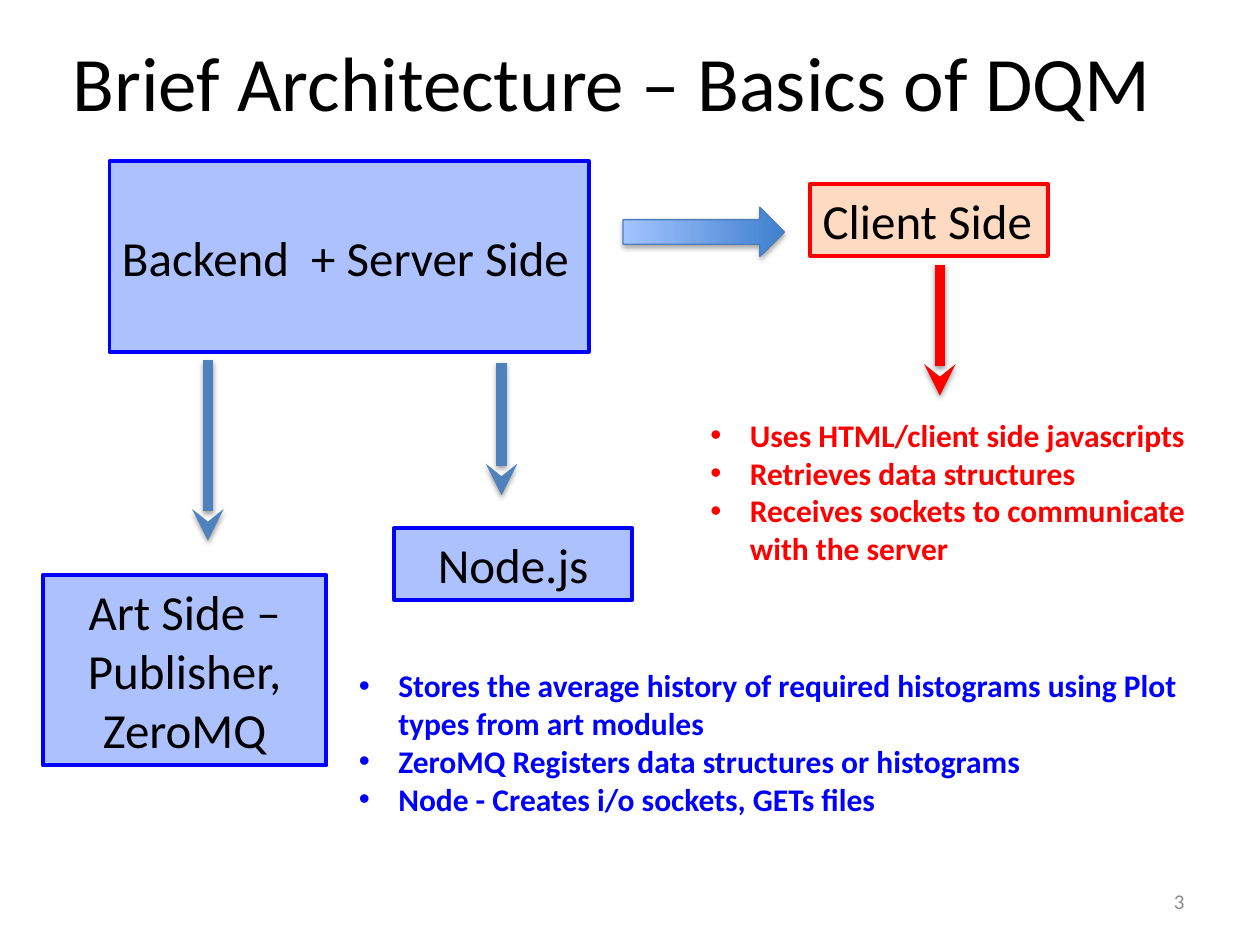
from dataclasses import dataclass
from typing import Optional

from lxml.etree import SubElement
from pptx import Presentation
from pptx.dml.color import RGBColor
from pptx.enum.shapes import MSO_CONNECTOR, MSO_SHAPE
from pptx.enum.text import MSO_ANCHOR, PP_ALIGN
from pptx.oxml.ns import qn
from pptx.util import Pt


@dataclass(frozen=True)
class Theme:
    font: str = "Calibri"
    black: str = "000000"
    grey: str = "8C8C8C"
    server: str = "0000FF"
    server_fill: str = "3366FF"
    client: str = "FF0000"
    client_fill: str = "FF6600"
    arrow: str = "4F81BD"
    block_line: str = "4B7EBC"
    block_dark: str = "3F80CE"
    block_light: str = "A4C4FF"
    title_size: float = 44
    box_size: float = 28
    list_size: float = 18
    number_size: float = 12
    box_line: float = 2.25
    arrow_line: float = 6
    block_line_width: float = 0.75
    indent: float = 22.5


THEME = Theme()


@dataclass(frozen=True)
class Area:
    left: float
    top: float
    width: float
    height: float

    def lengths(self) -> tuple:
        return Pt(self.left), Pt(self.top), Pt(self.width), Pt(self.height)


@dataclass(frozen=True)
class Box:
    text: str
    area: Area
    line: str = THEME.server
    fill: str = THEME.server_fill
    opacity: int = 40
    align: PP_ALIGN = PP_ALIGN.CENTER
    wrap: bool = True


@dataclass(frozen=True)
class Arrow:
    x: float
    top: float
    bottom: float
    color: str = THEME.arrow


@dataclass(frozen=True)
class BulletList:
    area: Area
    color: str
    items: tuple


def rgb(color: str) -> RGBColor:
    return RGBColor.from_string(color)


def write(shape, lines: tuple, size: float, color: str = THEME.black,
          align: PP_ALIGN = PP_ALIGN.LEFT, anchor: MSO_ANCHOR = MSO_ANCHOR.MIDDLE,
          bold: bool = False, wrap: bool = True) -> None:
    frame = shape.text_frame
    frame.word_wrap, frame.vertical_anchor = wrap, anchor
    frame.text = "\n".join(lines)
    font_format = {"name": THEME.font, "size": Pt(size), "bold": bold}
    for paragraph in frame.paragraphs:
        paragraph.alignment = align
        font = paragraph.runs[0].font
        for key, value in font_format.items():
            setattr(font, key, value)
        font.color.rgb = rgb(color)


def add_shadow(shape, distance: float, opacity: int) -> None:
    effects = SubElement(shape._element.spPr, qn("a:effectLst"))
    shadow = SubElement(effects, qn("a:outerShdw"), {
        "blurRad": str(Pt(3.1)), "dist": str(Pt(distance)),
        "dir": "5400000", "rotWithShape": "0"})
    color = SubElement(shadow, qn("a:srgbClr"), val=THEME.black)
    SubElement(color, qn("a:alpha"), val=str(opacity * 1000))


def draw_box(slide, box: Box) -> None:
    shape = slide.shapes.add_shape(MSO_SHAPE.RECTANGLE, *box.area.lengths())
    shape.shadow.inherit = False
    shape.fill.solid()
    shape.fill.fore_color.rgb = rgb(box.fill)
    color = shape._element.spPr.find(qn("a:solidFill")).find(qn("a:srgbClr"))
    SubElement(color, qn("a:alpha"), val=str(box.opacity * 1000))
    shape.line.color.rgb = rgb(box.line)
    shape.line.width = Pt(THEME.box_line)
    write(shape, (box.text,), THEME.box_size, align=box.align, wrap=box.wrap)


def draw_arrow(slide, arrow: Arrow) -> None:
    connector = slide.shapes.add_connector(
        MSO_CONNECTOR.STRAIGHT, Pt(arrow.x), Pt(arrow.top), Pt(arrow.x), Pt(arrow.bottom))
    connector.line.color.rgb = rgb(arrow.color)
    connector.line.width = Pt(THEME.arrow_line)
    SubElement(connector.line._get_or_add_ln(), qn("a:tailEnd"), type="stealth")
    add_shadow(connector, 1.6, 38)


def draw_block_arrow(slide, area: Area) -> None:
    shape = slide.shapes.add_shape(MSO_SHAPE.DOWN_ARROW, *area.lengths())
    shape.rotation = 270
    shape.fill.gradient()
    shape.fill.gradient_angle = 90
    stops = ((0, THEME.block_dark), (1, THEME.block_light))
    for stop, (position, color) in zip(shape.fill.gradient_stops, stops):
        stop.position = position
        stop.color.rgb = rgb(color)
    shape.line.color.rgb = rgb(THEME.block_line)
    shape.line.width = Pt(THEME.block_line_width)
    add_shadow(shape, 1.8, 35)


def draw_text(slide, area: Area, lines: tuple, size: float, **text_format):
    text = slide.shapes.add_textbox(*area.lengths())
    write(text, lines, size, **text_format)
    return text


def draw_list(slide, bullets: BulletList) -> None:
    text = draw_text(slide, bullets.area, bullets.items, THEME.list_size,
                     color=bullets.color, anchor=MSO_ANCHOR.TOP, bold=True)
    indent = Pt(THEME.indent)
    for paragraph in text.text_frame.paragraphs:
        properties = paragraph._p.get_or_add_pPr()
        properties.set("marL", str(indent))
        properties.set("indent", str(-indent))
        SubElement(properties, qn("a:buFont"), typeface="Arial")
        SubElement(properties, qn("a:buChar"), char="•")


BOXES = (
    Box("Backend  + Server Side", Area(62.6, 92.2, 273.8, 108.9),
        align=PP_ALIGN.LEFT, wrap=False),
    Box("Client Side", Area(463, 105.1, 135.8, 41.2), THEME.client, THEME.client_fill,
        24, PP_ALIGN.LEFT, False),
    Box("Art Side – Publisher, ZeroMQ", Area(24.5, 328.5, 162, 108.9)),
    Box("Node.js", Area(225.3, 301.7, 135.8, 41.2)),
)
ARROWS = (
    Arrow(118.8, 205.9, 308.9),
    Arrow(286.6, 207.4, 283),
    Arrow(537.1, 151.2, 226.1, THEME.client),
)
LISTS = (
    BulletList(Area(198, 377.3, 486, 116.6), THEME.server, (
        "Stores the average history of required histograms using Plot types from art modules",
        "ZeroMQ Registers data structures or histograms",
        "Node - Creates i/o sockets, GETs files")),
    BulletList(Area(398.9, 234, 301.7, 94.3), THEME.client, (
        "Uses HTML/client side javascripts",
        "Retrieves data structures",
        "Receives sockets to communicate with the server")),
)


def main() -> None:
    deck = Presentation()
    deck.slide_width, deck.slide_height = Pt(720), Pt(540)
    slide = deck.slides.add_slide(deck.slide_layouts[6])

    # Title
    draw_text(slide, Area(23, 0, 653.8, 92.2), ("Brief Architecture – Basics of DQM",),
              THEME.title_size, align=PP_ALIGN.CENTER)

    # Components and the flow between them
    for box in BOXES:
        draw_box(slide, box)
    draw_block_arrow(slide, Area(388.1, 86.4, 28.1, 92.2))
    for arrow in ARROWS:
        draw_arrow(slide, arrow)

    # Responsibilities of each side
    for bullets in LISTS:
        draw_list(slide, bullets)

    # Slide number
    draw_text(slide, Area(516, 500.5, 168, 28.8), ("3",), THEME.number_size,
              color=THEME.grey, align=PP_ALIGN.RIGHT)

    deck.save("out.pptx")


if __name__ == "__main__":
    main()
